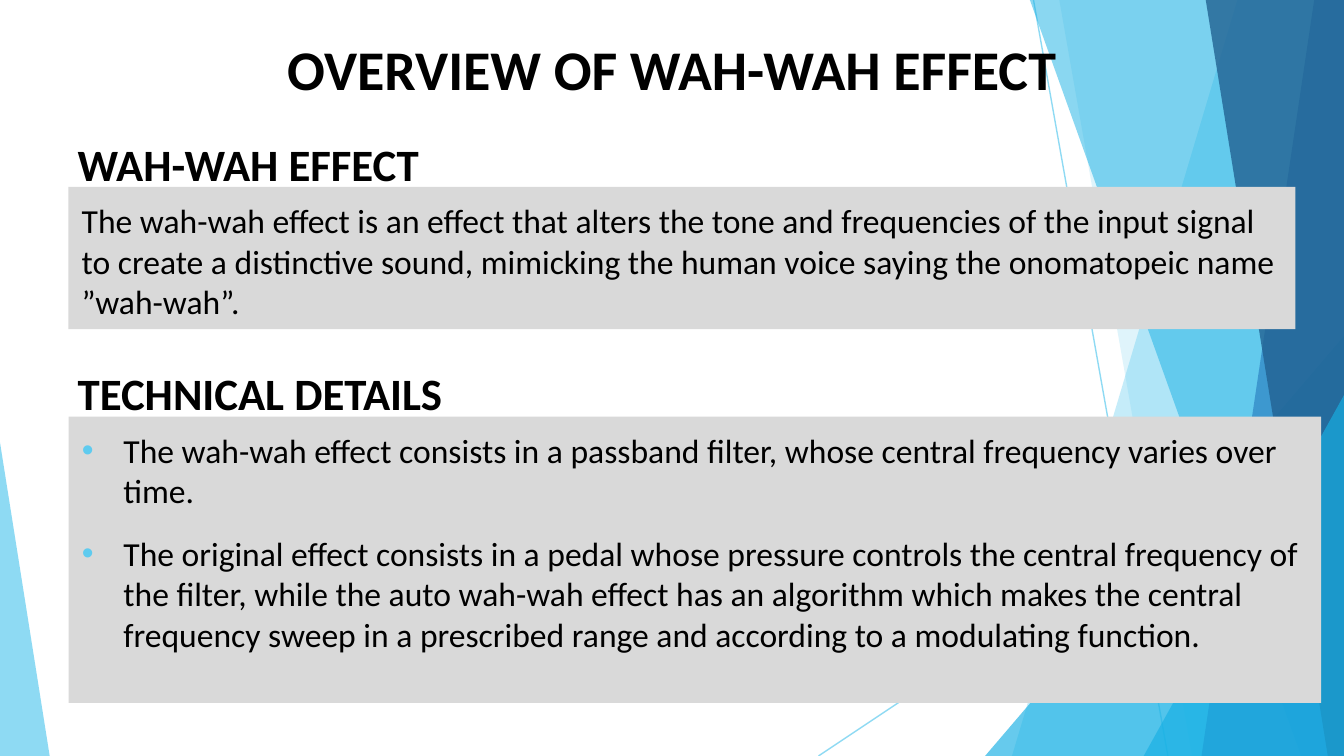
from pptx import Presentation
from pptx.dml.color import RGBColor as RGB
from pptx.enum.shapes import MSO_CONNECTOR as LINK, MSO_SHAPE as SHAPE
from pptx.enum.text import MSO_ANCHOR as ANCHOR, MSO_AUTO_SIZE as FIT, PP_ALIGN as ALIGN
from pptx.oxml.ns import qn
from pptx.util import Inches, Pt
from lxml.etree import SubElement

WIDE, TOP = 10, -0.01
HIGH = WIDE * 9 / 16

THEME = {
    "sky": "5FCBEF", "cyan": "17B0E4", "blue": "2E83C3", "navy": "226292",
    "panel": "D9D9D9", "ink": "000000", "font": "Calibri",
    "title": 30, "head": 24, "body": 18,
}

LINES = [((7.69, 0), (8.69, HIGH)), ((WIDE, 3.02), (6.09, HIGH))]

WEDGES = [
    ("cut", (9.21, 7.53), "sky", 36),
    ("cut", (7.88, 8.87), "sky", 20),
    ("tri", (7.33, 2.5, 2.67, 1), "cyan", 66),
    ("cut", (7.66, 9.68), "cyan", 50),
    ("cut", (9.78, 8.94), "blue", 70),
    ("cut", (8.97, 9.88), "navy", 80),
    ("tri", (8.51, 2.94, 1.49, 1), "cyan", 66),
    ("tri", (0, 3.29, 0.37, 0), "sky", 70),
]

PANELS = [
    ((0.51, 1.39, 9.13, 1.06), False, [
        "The wah-wah effect is an effect that alters the tone and frequencies of the input signal to create a distinctive sound, mimicking the human voice saying the onomatopeic name ”wah-wah”.",
    ]),
    ((0.51, 3.1, 9.32, 2.13), True, [
        "The wah-wah effect consists in a passband filter, whose central frequency varies over time.",
        "The original effect consists in a pedal whose pressure controls the central frequency of the filter, while the auto wah-wah effect has an algorithm which makes the central frequency sweep in a prescribed range and according to a modulating function.",
    ]),
]

HEADS = [
    ((1.15, 0.16, 7.7, 0.71), "title", 0.1, ALIGN.CENTER, "OVERVIEW OF WAH-WAH EFFECT"),
    ((0.48, 0.97, 3.36, 0.5), "head", 0.05, ALIGN.LEFT, "WAH-WAH EFFECT"),
    ((0.48, 2.67, 3.43, 0.5), "head", 0.05, ALIGN.LEFT, "TECHNICAL DETAILS"),
]


def tint(name):
    return RGB.from_string(THEME[name])


def apply(item, values):
    for key, value in values.items():
        setattr(item, key, value)


def fade(shape, share):
    for hue in shape.element.spPr.iter(qn("a:srgbClr")):
        SubElement(hue, qn("a:alpha"), val=str(share * 1000))


def paint(shape, name):
    shape.shadow.inherit = False
    shape.fill.solid()
    shape.fill.fore_color.rgb = tint(name)
    shape.line.fill.background()


def rule(shapes, start, end):
    line = shapes.add_connector(LINK.STRAIGHT, *map(Inches, start + end))
    line.line.color.rgb = tint("sky")
    line.line.width = Pt(0.75)
    SubElement(line.element.spPr, qn("a:effectLst"))
    fade(line, 70)


def cut(shapes, upper, lower):
    spots = [(upper, TOP), (WIDE, TOP), (WIDE, HIGH), (lower, HIGH)]
    first, *rest = [(Inches(x), Inches(y)) for x, y in spots]
    path = shapes.build_freeform(*first)
    path.add_line_segments(rest, close=True)
    return path.convert_to_shape()


def tri(shapes, left, top, width, peak):
    box = map(Inches, (left, top, width, HIGH - top))
    shape = shapes.add_shape(SHAPE.ISOSCELES_TRIANGLE, *box)
    shape.adjustments[0] = peak
    return shape


def dot(para):
    props = para._p.get_or_add_pPr()
    props.set("marL", str(Inches(0.31)))
    props.set("indent", str(-Inches(0.31)))
    hue = SubElement(props, qn("a:buClr"))
    SubElement(hue, qn("a:srgbClr"), val=THEME["sky"])
    SubElement(props, qn("a:buFont"), typeface="Arial")
    SubElement(props, qn("a:buChar"), char="•")


def write(shape, texts, size, pad=0.1, align=ALIGN.LEFT, bold=False, dots=False, fit=FIT.NONE):
    frame = shape.text_frame
    apply(frame, {
        "word_wrap": True, "auto_size": fit, "vertical_anchor": ANCHOR.TOP,
        "margin_left": Inches(0.1), "margin_right": Inches(0.1),
        "margin_top": Inches(pad), "margin_bottom": Inches(pad),
    })
    for rank, text in enumerate(texts):
        para = frame.add_paragraph() if rank else frame.paragraphs[0]
        para.alignment = align
        if rank:
            para.space_before = Pt(12)
        if dots:
            dot(para)
        run = para.add_run()
        run.text = text
        apply(run.font, {"name": THEME["font"], "size": Pt(THEME[size]), "bold": bold})
        run.font.color.rgb = tint("ink")


def main():
    deck = Presentation()
    apply(deck, {"slide_width": Inches(WIDE), "slide_height": Inches(HIGH)})
    shapes = deck.slides.add_slide(deck.slide_layouts[6]).shapes
    for start, end in LINES:
        rule(shapes, start, end)
    draw = {"cut": cut, "tri": tri}
    for kind, place, name, share in WEDGES:
        wedge = draw[kind](shapes, *place)
        paint(wedge, name)
        fade(wedge, share)
    for box, dots, texts in PANELS:
        panel = shapes.add_shape(SHAPE.RECTANGLE, *map(Inches, box))
        paint(panel, "panel")
        write(panel, texts, "body", dots=dots)
    for box, size, pad, align, text in HEADS:
        head = shapes.add_textbox(*map(Inches, box))
        write(head, [text], size, pad, align, bold=True, fit=FIT.SHAPE_TO_FIT_TEXT)
    deck.save("out.pptx")


if __name__ == "__main__":
    main()
